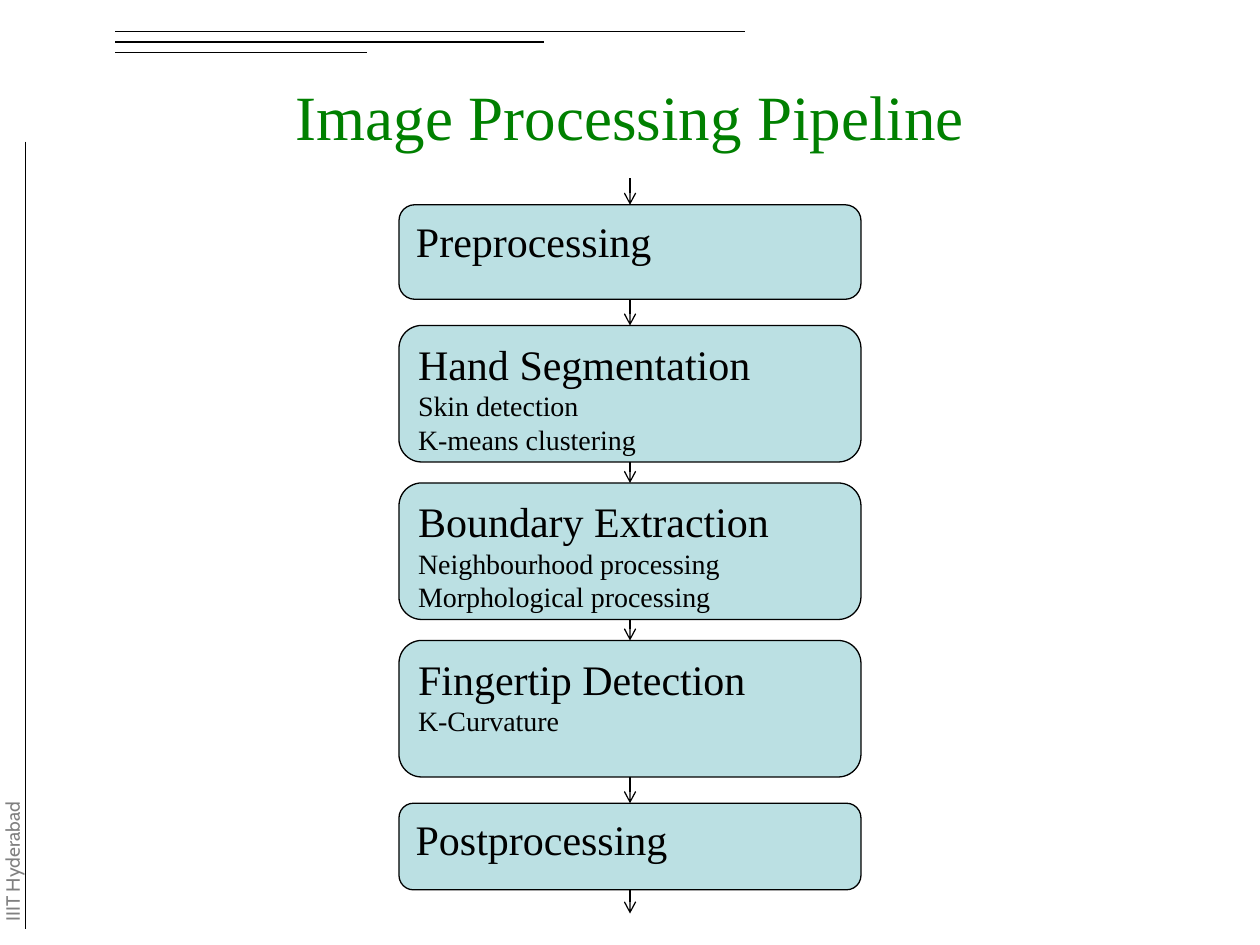
from lxml import etree
from pptx import Presentation, util as u
from pptx.dml.color import RGBColor
from pptx.enum import shapes, text
from pptx.oxml.ns import qn

BLACK = RGBColor(0x00, 0x00, 0x00)
GREEN = RGBColor(0x00, 0x80, 0x00)
GRAY = RGBColor(0x80, 0x80, 0x80)
PALE_BLUE = RGBColor(0xBB, 0xE0, 0xE3)
SERIF = "Times New Roman"

CELL = u.Inches(1) / 12  # the slide is a grid of 120 columns by 90 rows

prs = Presentation()
prs.slide_width, prs.slide_height = int(120 * CELL), int(90 * CELL)
s = prs.slides.add_slide(prs.slide_layouts[6])


def add_line(x1, y1, x2, y2, arrow=False):
    """Draw a thin black line between two grid points, with an optional arrowhead at its end."""
    ends = [int(n * CELL) for n in (x1, y1, x2, y2)]
    c = s.shapes.add_connector(shapes.MSO_CONNECTOR.STRAIGHT, *ends)
    c.line.color.rgb = BLACK
    c.line.width = u.Pt(0.75)
    if arrow:
        etree.SubElement(c.line._get_or_add_ln(), qn("a:tailEnd"), type="arrow")
    etree.SubElement(c._element.spPr, qn("a:effectLst"))


def add_text(sp, lines, font, color, align, anchor):
    """Fill a shape with (text, size) lines, one paragraph each."""
    tf = sp.text_frame
    tf.word_wrap = True
    tf.vertical_anchor = anchor
    for i, (words, size) in enumerate(lines):
        p = tf.paragraphs[0] if i == 0 else tf.add_paragraph()
        p.alignment = align
        r = p.add_run()
        r.text = words
        r.font.size = u.Pt(size)
        r.font.name = font
        r.font.color.rgb = color


# Side rule and the three header rules
add_line(2.45, 13.5, 2.45, 88.5)
for row, right in ((3, 71), (4, 51.8), (5, 35)):
    add_line(11, row, right, row)

# Rotated side label and title
side = s.shapes.add_textbox(*[int(n * CELL) for n in (-6.6, 80.5, 16, 3.1)])
side.rotation = 270
add_text(side, [("IIIT Hyderabad", 11)], "Cabin", GRAY,
         text.PP_ALIGN.CENTER, text.MSO_ANCHOR.TOP)
side.text_frame.paragraphs[0].line_spacing = 0.83

title = s.shapes.add_textbox(*[int(n * CELL) for n in (9, 5, 102, 12)])
add_text(title, [("Image Processing Pipeline", 36)], SERIF, GREEN,
         text.PP_ALIGN.CENTER, text.MSO_ANCHOR.MIDDLE)

# Pipeline stages: top row, rows high, heading, details
stages = [
    (19.5, 9, "Preprocessing", []),
    (31, 13, "Hand Segmentation", ["Skin detection", "K-means clustering"]),
    (46, 13, "Boundary Extraction",
     ["Neighbourhood processing", "Morphological processing"]),
    (61, 13, "Fingertip Detection", ["K-Curvature"]),
    (76.5, 8.25, "Postprocessing", []),
]
arrow_start = 17
for top, height, heading, details in stages:
    sp = s.shapes.add_shape(shapes.MSO_SHAPE.ROUNDED_RECTANGLE,
                            *[int(n * CELL) for n in (38, top, 44, height)])
    sp.shadow.inherit = False
    sp.fill.solid()
    sp.fill.fore_color.rgb = PALE_BLUE
    sp.line.color.rgb = BLACK
    sp.line.width = u.Pt(0.75)
    add_text(sp, [(heading, 24)] + [(d, 16) for d in details], SERIF, BLACK,
             text.PP_ALIGN.LEFT, text.MSO_ANCHOR.TOP)
    add_line(60, arrow_start, 60, top, arrow=True)
    arrow_start = top + height
add_line(60, arrow_start, 60, 87, arrow=True)

prs.save("out.pptx")
